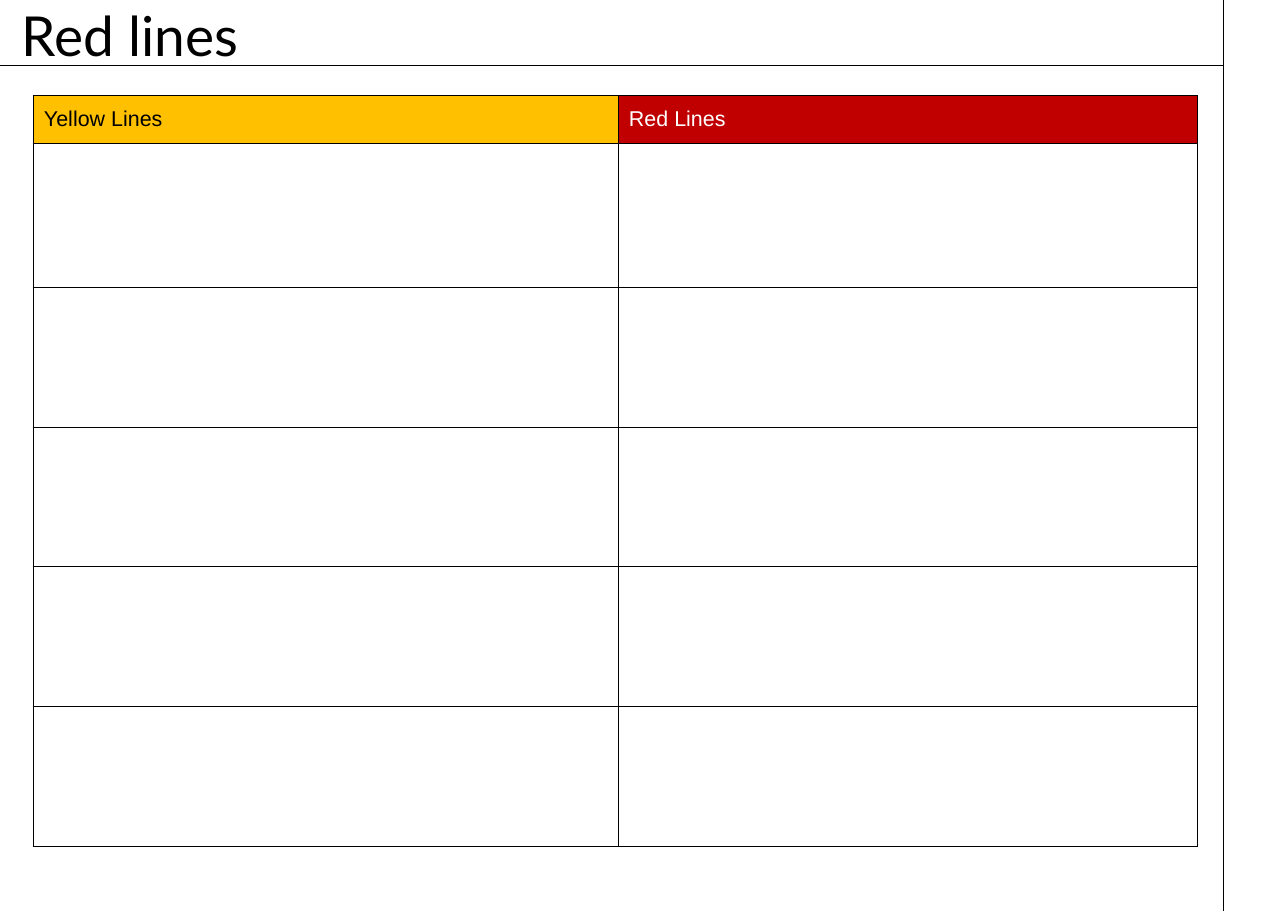
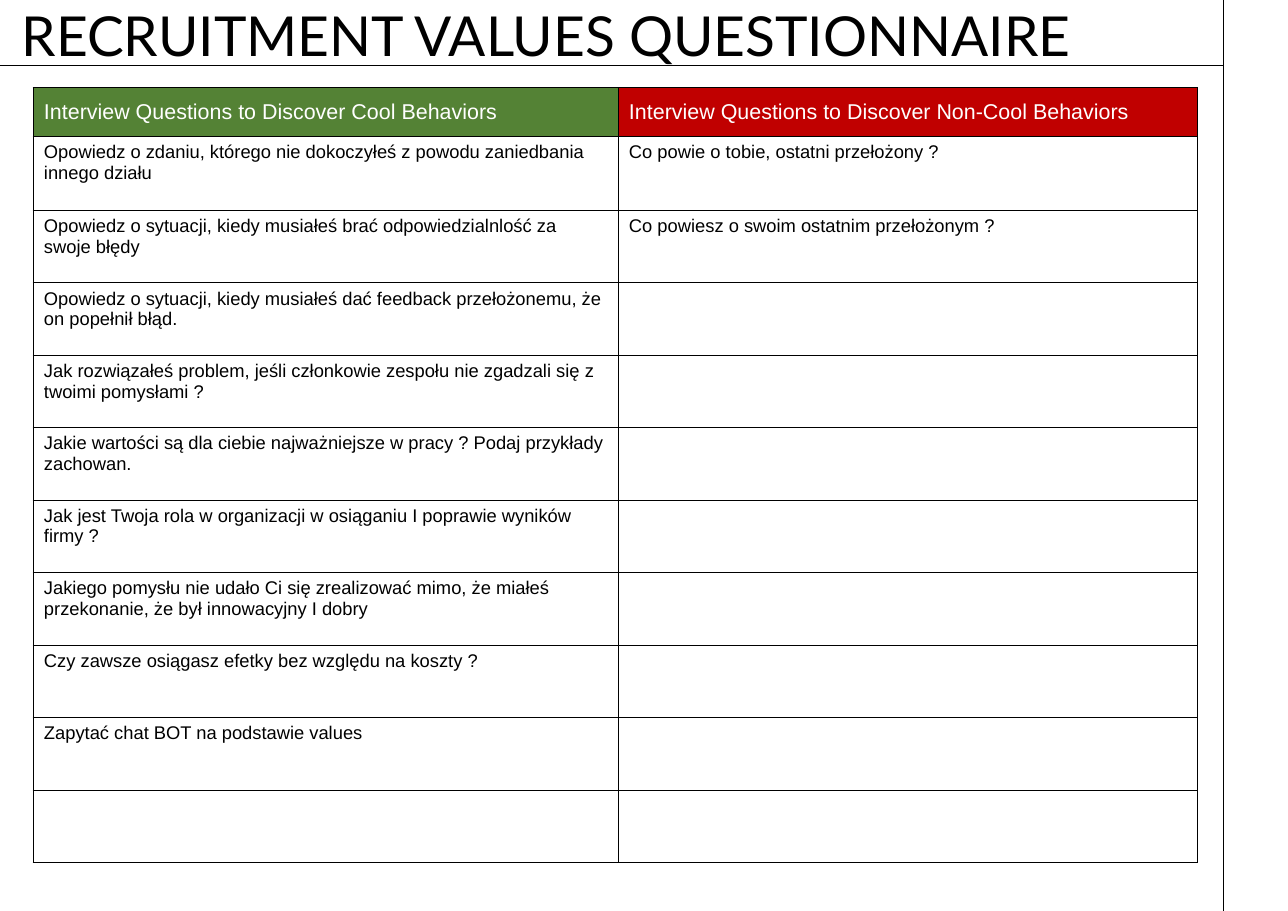
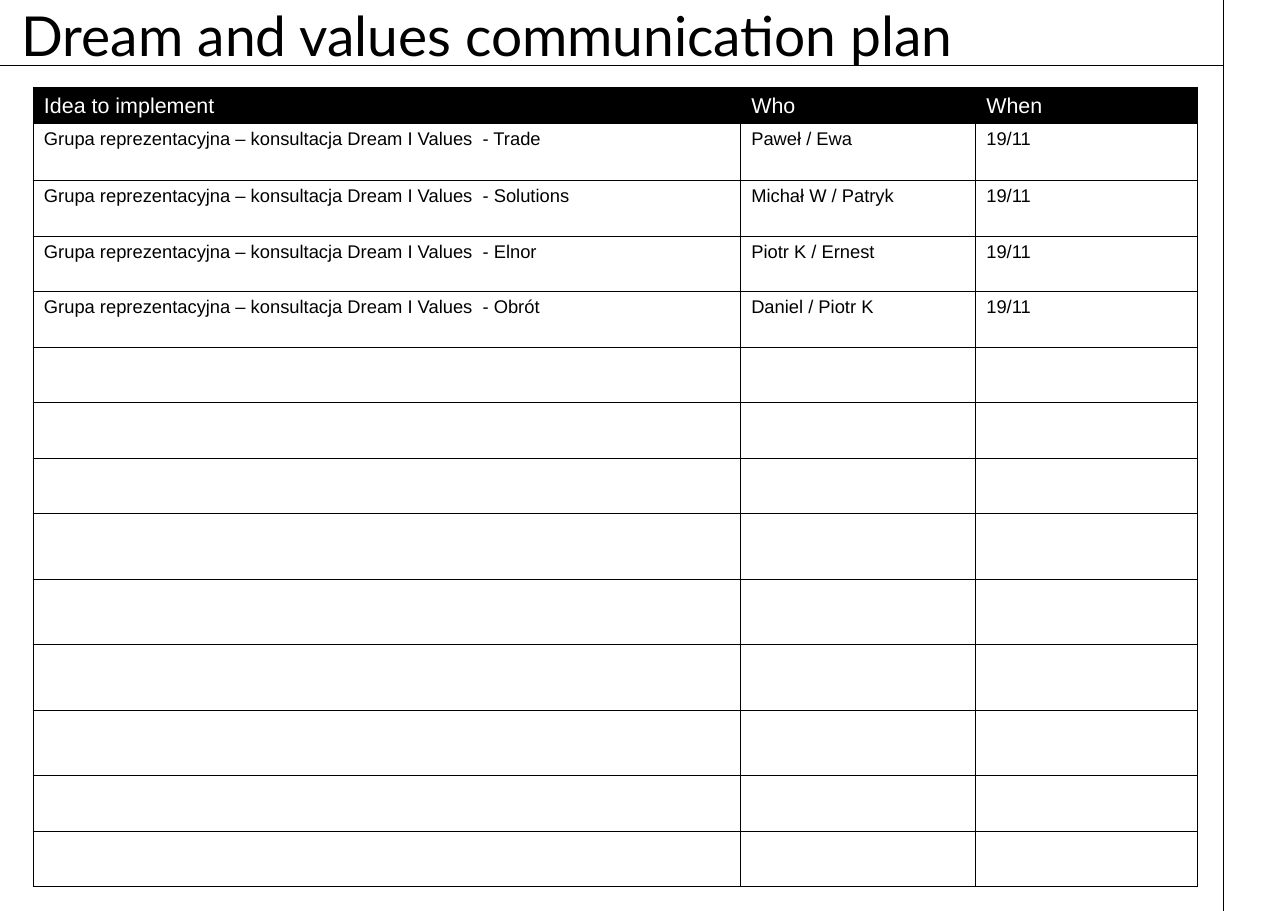
from lxml import etree
from pptx import Presentation
from pptx.dml.color import RGBColor
from pptx.enum import shapes, text
from pptx.oxml import ns
from pptx.util import Cm, Pt

COLOURS = {
    "black": "000000",
    "white": "FFFFFF",
    "yellow": "FFC000",
    "red": "C00000",
    "green": "548235",
}
TITLE_FONT, TABLE_FONT = "Lato", "Arial"
LINE_WIDTH = Pt(0.5)
PAGE_WIDTH, PAGE_HEIGHT = 29.7, 21
RULE_X, RULE_Y = 28.2, 1.5
TABLE_LEFT = 0.76
TWO_COLUMNS = [13.49, 13.36]
PLAN_COLUMNS = [16.31, 5.42, 5.12]

QUESTIONS = [
    ["Opowiedz o zdaniu, którego nie dokoczyłeś z powodu zaniedbania innego działu",
     "Co powie o tobie, ostatni przełożony ?"],
    ["Opowiedz o sytuacji, kiedy musiałeś brać odpowiedzialnlość za swoje błędy",
     "Co powiesz o swoim ostatnim przełożonym ?"],
    ["Opowiedz o sytuacji, kiedy musiałeś dać feedback przełożonemu, że on popełnił błąd."],
    ["Jak rozwiązałeś problem, jeśli członkowie zespołu nie zgadzali się z twoimi pomysłami ?"],
    ["Jakie wartości są dla ciebie najważniejsze w pracy ? Podaj przykłady zachowan."],
    ["Jak jest Twoja rola w organizacji w osiąganiu I poprawie wyników firmy ?"],
    ["Jakiego pomysłu nie udało Ci się zrealizować mimo, że miałeś przekonanie, "
     "że był innowacyjny I dobry"],
    ["Czy zawsze osiągasz efetky bez względu na koszty ?"],
    ["Zapytać chat BOT na podstawie values"],
]
CONSULTATIONS = [
    ("Trade", "Paweł / Ewa"),
    ("Solutions", "Michał W / Patryk"),
    ("Elnor", "Piotr K / Ernest"),
    ("Obrót", "Daniel / Piotr K"),
]


def colour(name):
    return RGBColor.from_string(COLOURS[name])


def style_font(para, name, size, colour_name):
    para.font.name = name
    para.font.size = Pt(size)
    para.font.color.rgb = colour(colour_name)


def add_rule(page, x1, y1, x2, y2):
    rule = page.shapes.add_connector(
        shapes.MSO_CONNECTOR.STRAIGHT, Cm(x1), Cm(y1), Cm(x2), Cm(y2))
    rule.line.color.rgb = colour("black")
    rule.line.width = LINE_WIDTH
    etree.SubElement(rule._element.spPr, ns.qn("a:effectLst"))


def add_title(page, title):
    box = page.shapes.add_textbox(Cm(0.25), Cm(0.58), Cm(26.85), Cm(1.12))
    frame = box.text_frame
    frame.word_wrap = True
    frame.auto_size = text.MSO_AUTO_SIZE.NONE
    frame.vertical_anchor = text.MSO_ANCHOR.BOTTOM
    para = frame.paragraphs[0]
    para.text = title
    para.line_spacing = 0.9
    style_font(para, TITLE_FONT, 36, "black")


def add_page(deck, title):
    """Add a slide with the shared rules and title."""
    page = deck.slides.add_slide(deck.slide_layouts[6])
    add_rule(page, RULE_X, RULE_Y, 0, RULE_Y)
    add_rule(page, RULE_X, PAGE_HEIGHT, RULE_X, 0)
    add_title(page, title)
    return page


def add_borders(cell):
    properties = cell._tc.get_or_add_tcPr()
    for side in ("lnL", "lnR", "lnT", "lnB"):
        line = etree.SubElement(properties, ns.qn(f"a:{side}"), w=str(LINE_WIDTH))
        fill = etree.SubElement(line, ns.qn("a:solidFill"))
        etree.SubElement(fill, ns.qn("a:srgbClr"), val=COLOURS["black"])


def fill_cell(cell, words, size, ink, fill=None):
    add_borders(cell)
    if fill:
        cell.fill.solid()
        cell.fill.fore_color.rgb = colour(fill)
        cell.vertical_anchor = text.MSO_ANCHOR.MIDDLE
    else:
        cell.fill.background()
    para = cell.text_frame.paragraphs[0]
    para.text = words
    style_font(para, TABLE_FONT, size, ink)


def add_grid(page, top, widths, heights, headers, body=()):
    """Add a table; headers are (words, ink, fill), missing body cells stay empty."""
    frame = page.shapes.add_table(
        len(heights), len(widths), Cm(TABLE_LEFT), Cm(top),
        Cm(sum(widths)), Cm(sum(heights)))
    table = frame.table
    table.first_row = table.horz_banding = False
    for column, width in zip(table.columns, widths):
        column.width = Cm(width)
    for row, height in zip(table.rows, heights):
        row.height = Cm(height)
    for column, (words, ink, fill) in enumerate(headers):
        fill_cell(table.cell(0, column), words, 14, ink, fill)
    for row in range(1, len(heights)):
        entries = body[row - 1] if row <= len(body) else []
        for column in range(len(widths)):
            words = entries[column] if column < len(entries) else ""
            fill_cell(table.cell(row, column), words, 12, "black")


def main():
    deck = Presentation()
    deck.slide_width, deck.slide_height = Cm(PAGE_WIDTH), Cm(PAGE_HEIGHT)

    page = add_page(deck, "Red lines")
    add_grid(page, 2.2, TWO_COLUMNS, [1.1, 3.32] + [3.22] * 4,
             [("Yellow Lines", "black", "yellow"), ("Red Lines", "white", "red")])

    page = add_page(deck, "RECRUITMENT VALUES QUESTIONNAIRE")
    add_grid(page, 2.02, TWO_COLUMNS, [1.13, 1.7] + [1.67] * 9,
             [("Interview Questions to Discover Cool Behaviors", "white", "green"),
              ("Interview Questions to Discover Non-Cool Behaviors", "white", "red")],
             QUESTIONS)

    page = add_page(deck, "Dream and values communication plan")
    plan = [[f"Grupa reprezentacyjna – konsultacja Dream I Values  - {group}", people, "19/11"]
            for group, people in CONSULTATIONS]
    add_grid(page, 2.02, PLAN_COLUMNS,
             [0.83, 1.31] + [1.28] * 6 + [1.51] * 4 + [1.28] * 2,
             [(words, "white", "black") for words in ("Idea to implement", "Who", "When")],
             plan)

    deck.save("out.pptx")


if __name__ == "__main__":
    main()
